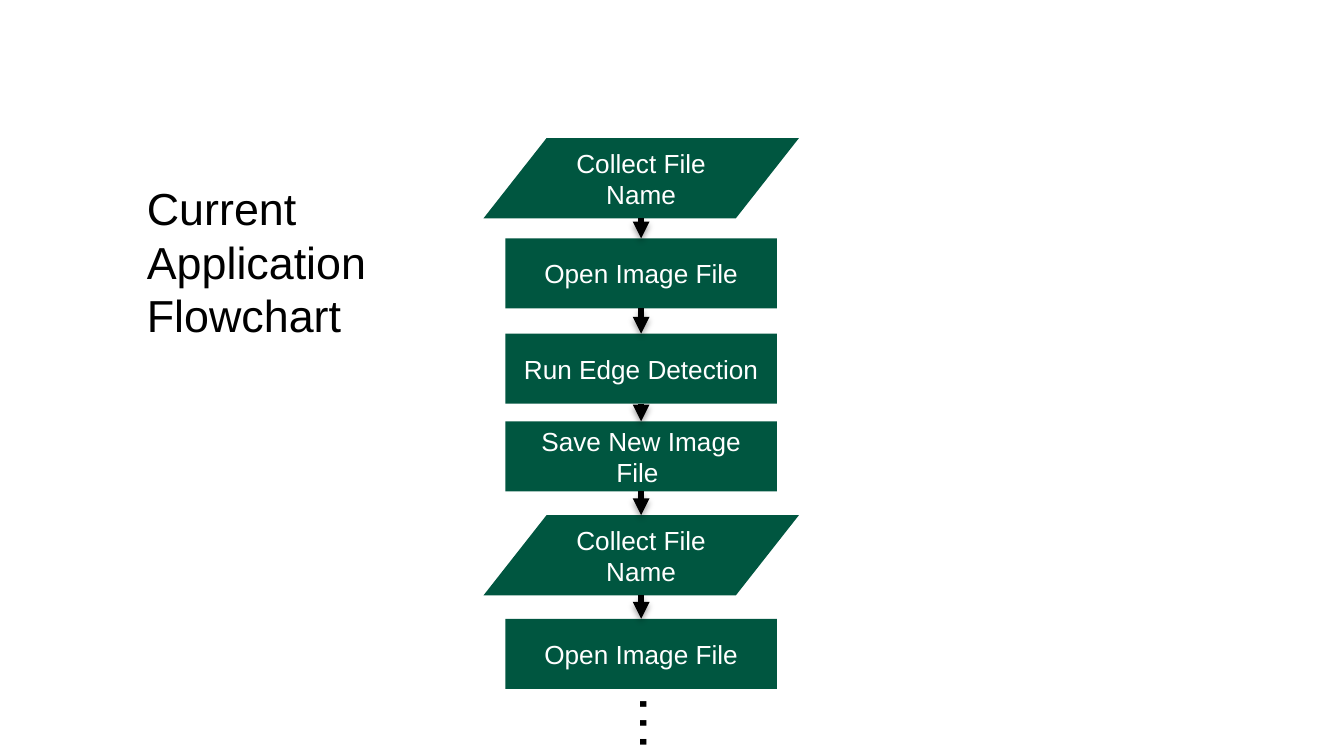
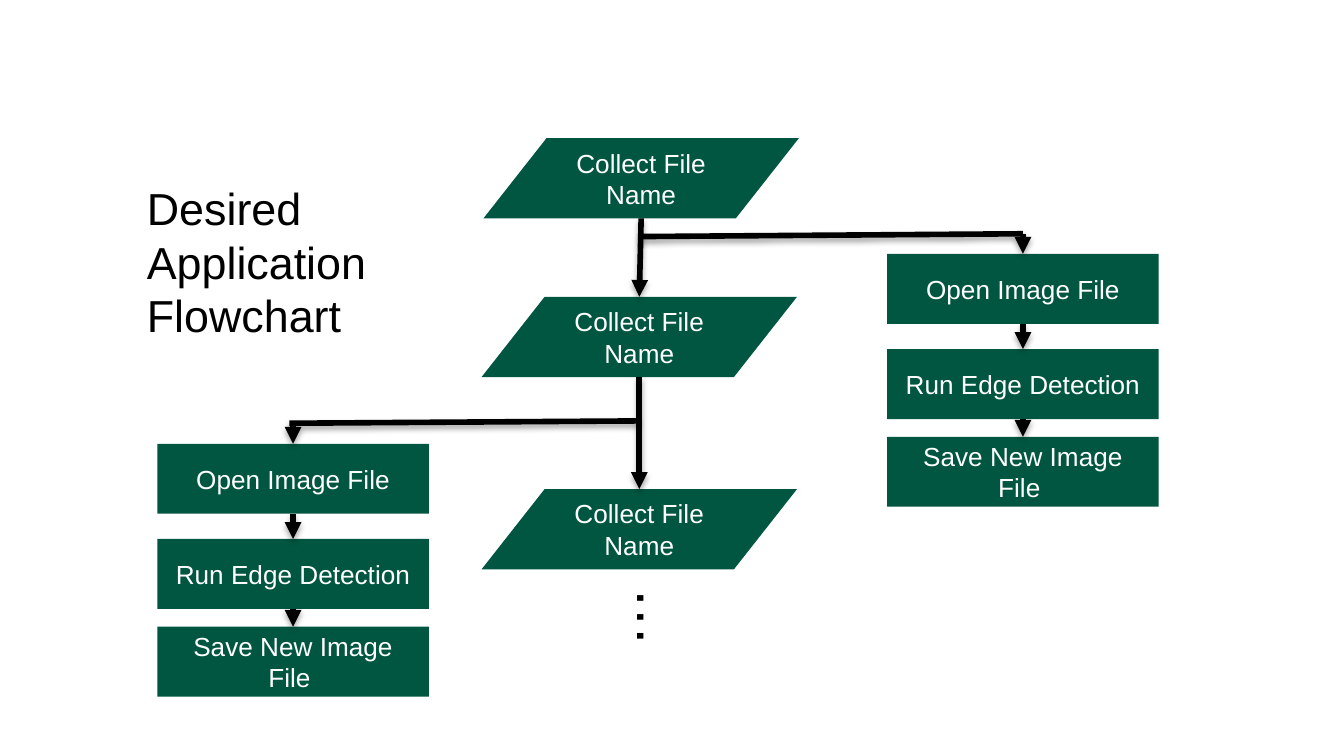
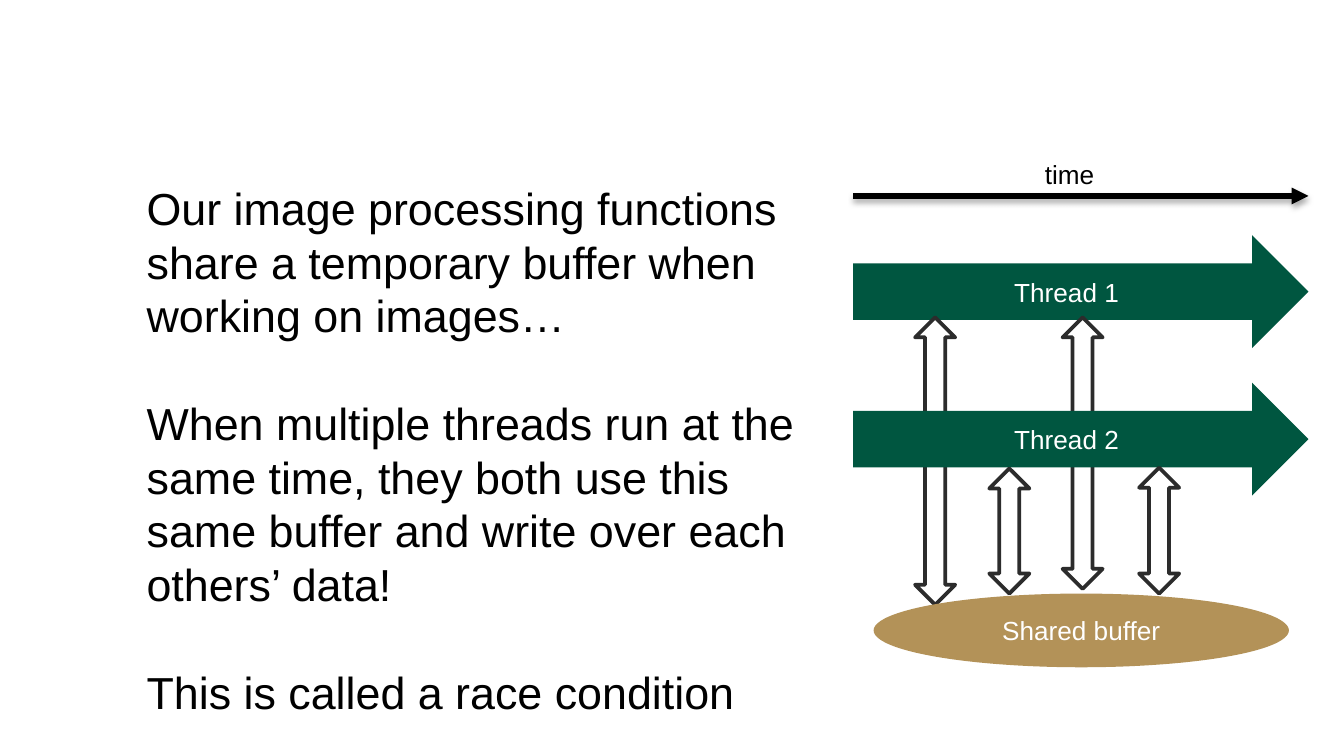
import pptx
import pptx.dml.color
import pptx.enum.dml
import pptx.enum.shapes
import pptx.enum.text
import pptx.oxml
import pptx.oxml.ns
import pptx.util

Pt = pptx.util.Pt
SHAPE = pptx.enum.shapes.MSO_SHAPE
ALIGN = pptx.enum.text.PP_ALIGN
ANCHOR = pptx.enum.text.MSO_ANCHOR
AUTO_SIZE = pptx.enum.text.MSO_AUTO_SIZE

COLORS = {"process": "005640", "buffer": "B39258", "paper": "FFFFFF",
          "ink": "000000", "outline": "2C2C2C"}
FONT = "Arial"
LINE_HEIGHT = 1.2
TITLE_SIZE, LABEL_SIZE, DOTS_SIZE = 24, 14, 32
TITLE_LEFT, TITLE_TOP = 71.5, 89.5

# Text frame formats
TITLE_FRAME = dict(word_wrap=True, auto_size=AUTO_SIZE.SHAPE_TO_FIT_TEXT,
                   vertical_anchor=ANCHOR.TOP, margin_left=Pt(7.2),
                   margin_right=Pt(7.2), margin_top=Pt(7.2), margin_bottom=Pt(7.2))
LABEL_FRAME = dict(word_wrap=True, vertical_anchor=ANCHOR.MIDDLE)
NOTE_FRAME = dict(word_wrap=True, vertical_anchor=ANCHOR.TOP)

# Flowchart steps: kind, width, height
COLLECT = (SHAPE.FLOWCHART_DATA, 169, 43)
PROCESS = (SHAPE.RECTANGLE, 145.5, 37.5)
IMAGE_STEPS = (("Open Image File", 0), ("Run Edge Detection", 51),
               ("Save New Image File ", 98))


def rgb(name):
    return pptx.dml.color.RGBColor.from_string(COLORS[name])


def set_values(target, values):
    for name, value in values.items():
        setattr(target, name, value)


class Deck:
    def __init__(self):
        self.prs = pptx.Presentation()
        self.prs.slide_width, self.prs.slide_height = Pt(720), Pt(405)
        self.slide = None

    def new_slide(self, title=None):
        self.slide = self.prs.slides.add_slide(
            self.prs.slide_layouts[5 if title else 6])
        if title:
            heading = self.slide.shapes.title
            set_values(heading, dict(left=Pt(TITLE_LEFT), top=Pt(TITLE_TOP),
                                     width=Pt(187), height=Pt(101.5)))
            self.fill_text(heading, title, TITLE_SIZE, "ink", ALIGN.LEFT, TITLE_FRAME)

    def fill_text(self, holder, lines, size, color, align, frame_format, gap=0):
        frame = holder.text_frame
        set_values(frame, frame_format)
        for index, line in enumerate(lines):
            para = frame.add_paragraph() if index else frame.paragraphs[0]
            set_values(para, dict(alignment=align, line_spacing=Pt(size * LINE_HEIGHT),
                                  space_before=Pt(gap if index else 0)))
            run = para.add_run()
            run.text = line
            set_values(run.font, dict(name=FONT, size=Pt(size), bold=False))
            run.font.color.rgb = rgb(color)

    def text(self, lines, left, top, width, height, size, align=ALIGN.LEFT,
             frame_format=NOTE_FRAME, gap=0):
        box = self.slide.shapes.add_textbox(Pt(left), Pt(top), Pt(width), Pt(height))
        self.fill_text(box, lines, size, "ink", align, frame_format, gap)
        return box

    def shape(self, kind, left, top, width, height, fill="process", label=None,
              outline=None):
        part = self.slide.shapes.add_shape(kind, Pt(left), Pt(top), Pt(width), Pt(height))
        part.shadow.inherit = False
        part.fill.solid()
        part.fill.fore_color.rgb = rgb(fill)
        if outline:
            part.line.color.rgb = rgb(outline)
            part.line.width = Pt(2)
        else:
            part.line.fill.background()
        if label:
            self.fill_text(part, [label], LABEL_SIZE, "paper", ALIGN.CENTER, LABEL_FRAME)
        return part

    def step(self, look, label, center, top):
        kind, width, height = look
        return self.shape(kind, center - width / 2, top, width, height, label=label)

    def image_steps(self, center, top):
        steps = [self.step(PROCESS, label, center, top + offset)
                 for label, offset in IMAGE_STEPS]
        for above, below in zip(steps, steps[1:]):
            self.link(above, below)
        return steps

    def link(self, start, end, arrow=True):
        """Joins two steps from bottom to top; an end may also be an (x, y) point."""
        points, joints = [], []
        for target, at_bottom in ((start, True), (end, False)):
            if isinstance(target, tuple):
                points += [Pt(value) for value in target]
                joints.append(None)
            else:
                points += [target.left + target.width // 2,
                           target.top + (target.height if at_bottom else 0)]
                joints.append(target if target.auto_shape_type == SHAPE.RECTANGLE else None)
        line = self.slide.shapes.add_connector(
            pptx.enum.shapes.MSO_CONNECTOR.STRAIGHT, *points)
        if joints[0]:
            line.begin_connect(joints[0], 2)
        if joints[1]:
            line.end_connect(joints[1], 0)
        line.line.color.rgb = rgb("ink")
        line.line.width = Pt(3)
        ns = pptx.oxml.ns.nsdecls("a")
        if arrow:
            line.line._get_or_add_ln().append(
                pptx.oxml.parse_xml(f'<a:tailEnd {ns} type="triangle"/>'))
        line._element.spPr.append(pptx.oxml.parse_xml(
            f'<a:effectLst {ns}><a:outerShdw blurRad="{Pt(3.1)}" dist="{Pt(1.8)}" '
            f'dir="5400000" rotWithShape="0"><a:srgbClr val="{COLORS["ink"]}">'
            '<a:alpha val="35000"/></a:srgbClr></a:outerShdw></a:effectLst>'))

    def continuation(self, left, top):
        self.text(["…"], left, top, 34, 46, DOTS_SIZE).rotation = 90


def current_flowchart(deck):
    deck.new_slide(["Current", "Application Flowchart"])
    center = 343.5
    first_name = deck.step(COLLECT, "Collect File Name", center, 74)
    steps = deck.image_steps(center, 127.75)
    next_name = deck.step(COLLECT, "Collect File Name", center, 276)
    next_open = deck.step(PROCESS, "Open Image File", center, 331.5)
    deck.link(first_name, steps[0])
    deck.link(steps[-1], next_name)
    deck.link(next_name, next_open)
    deck.continuation(338.5, 358.5)


def desired_flowchart(deck):
    deck.new_slide(["Desired", "Application Flowchart"])
    spine = 342.5
    names = [deck.step(COLLECT, "Collect File Name", center, top)
             for center, top in ((343.5, 74), (spine, 159), (spine, 262))]
    for above, below in zip(names, names[1:]):
        deck.link(above, below)

    # Branches: column center, top of the first step, bend, height at the spine
    for center, top, bend, fork in ((548, 136, (548, 125.25), 126.75),
                                    (157, 237.75, (155, 226.75), 225.5)):
        steps = deck.image_steps(center, top)
        deck.link((spine, fork), bend, arrow=False)
        deck.link((center, bend[1]), steps[0])
    deck.continuation(337, 301.5)


def race_condition(deck):
    deck.new_slide()
    lane_left, lane_width = 457, 244

    # Time axis
    deck.link((lane_left, 105), (lane_left + lane_width, 105))
    deck.text(["time"], 530, 81.5, 86, 24, LABEL_SIZE, ALIGN.CENTER)

    # Threads and the accesses of each one: left, top, height
    lanes = (("Thread 1", 126, ((490.25, 170, 154), (569.25, 170, 145.5))),
             ("Thread 2", 205, ((530, 251, 67), (610.25, 250.5, 67.5))))
    for label, top, accesses in lanes:
        deck.shape(SHAPE.RIGHT_ARROW, lane_left, top, lane_width, 60.5, label=label)
        for left, access_top, height in accesses:
            deck.shape(SHAPE.UP_DOWN_ARROW, left, access_top, 21.5, height,
                       fill="paper", outline="outline")
    deck.shape(SHAPE.OVAL, 468, 318, 222.5, 39.5, fill="buffer", label="Shared buffer")

    # Explanation
    deck.text(["Our image processing functions share a temporary buffer when "
               "working on images…",
               "When multiple threads run at the same time, they both use this same "
               "buffer and write over each others’ data!",
               "This is called a race condition"],
              TITLE_LEFT, TITLE_TOP, 371.5, 305, TITLE_SIZE,
              frame_format=TITLE_FRAME, gap=TITLE_SIZE * LINE_HEIGHT)


def main():
    deck = Deck()
    current_flowchart(deck)
    desired_flowchart(deck)
    race_condition(deck)
    deck.prs.save("out.pptx")


if __name__ == "__main__":
    main()
